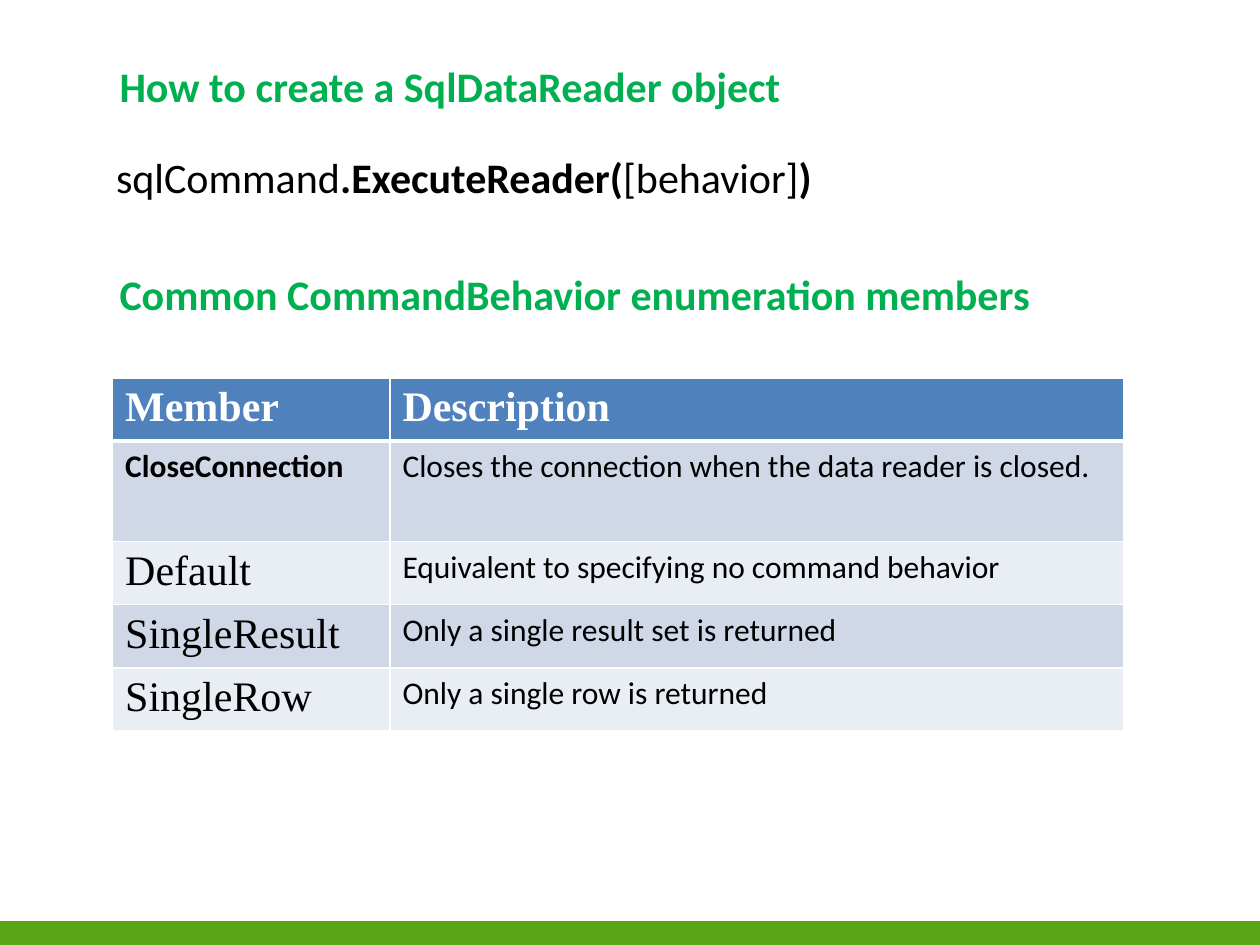
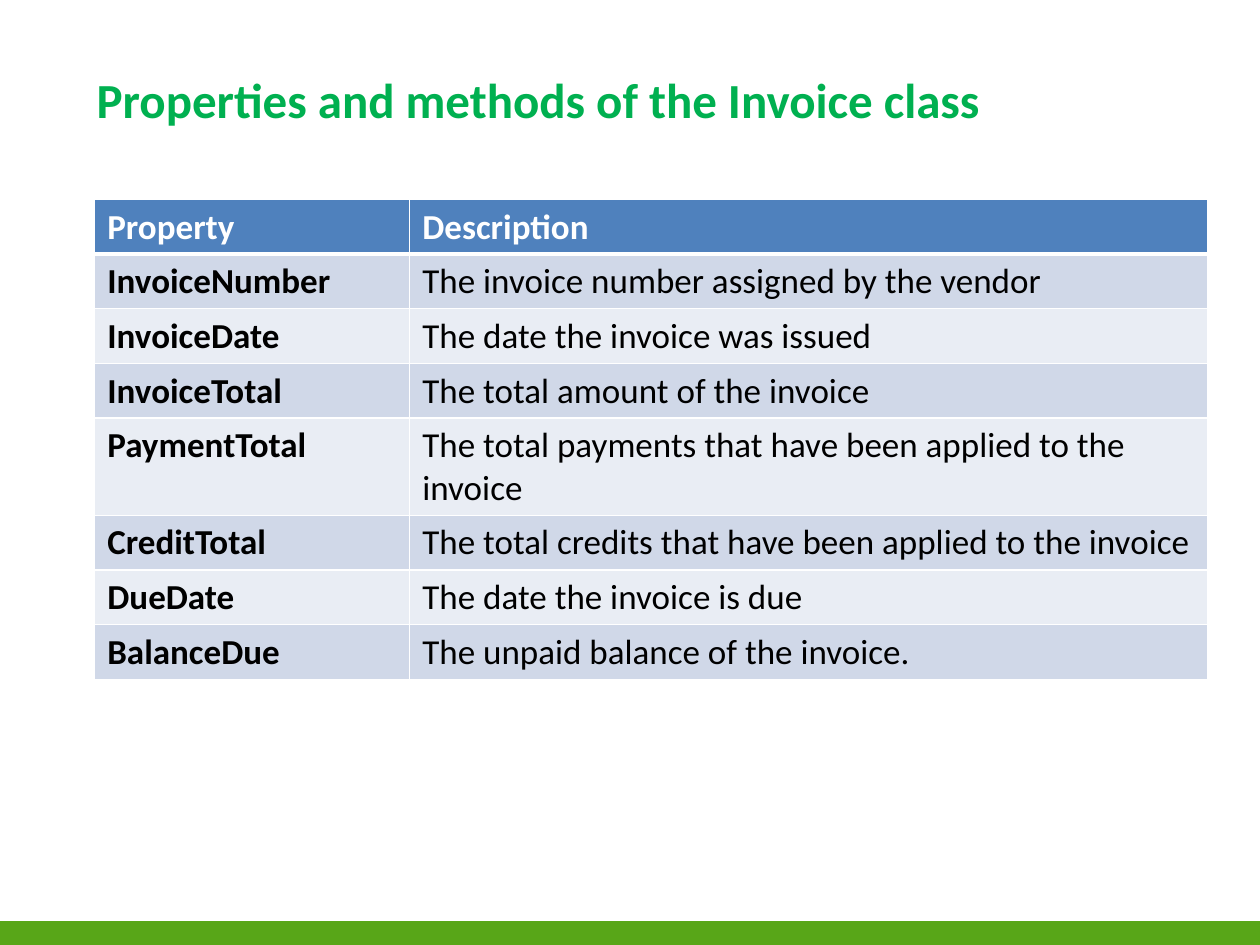
from dataclasses import dataclass

from lxml import etree
from pptx import Presentation
from pptx import util as u
from pptx.dml.color import RGBColor
from pptx.enum import shapes, text
from pptx.oxml import ns


@dataclass(frozen=True)
class Theme:
    """Colours, fonts and type sizes shared by the slides."""
    band: str = "58A618"
    heading: str = "00B050"
    ink: str = "000000"
    white: str = "FFFFFF"
    header_fill: str = "4F81BD"
    row_fills: tuple = ("D0D8E8", "E9EDF4")
    sans: str = "Calibri"
    serif: str = "Times New Roman"
    title: int = 28
    subtitle: int = 24
    body: int = 20
    small: int = 18
    thin: float = 1
    thick: float = 3


THEME = Theme()
MEMBERS = (
    ("Member", "Description"),
    ("CloseConnection", "Closes the connection when the data reader is closed."),
    ("Default", "Equivalent to specifying no command behavior"),
    ("SingleResult", "Only a single result set is returned"),
    ("SingleRow", "Only a single row is returned"),
)
PROPERTIES = (
    ("Property", "Description"),
    ("InvoiceNumber", "The invoice number assigned by the vendor"),
    ("InvoiceDate", "The date the invoice was issued"),
    ("InvoiceTotal", "The total amount of the invoice"),
    ("PaymentTotal", "The total payments that have been applied to the invoice"),
    ("CreditTotal", "The total credits that have been applied to the invoice"),
    ("DueDate", "The date the invoice is due"),
    ("BalanceDue", "The unpaid balance of the invoice."),
)


def add_text(paragraph, words, *, size=THEME.body, font=THEME.sans,
             color=THEME.ink, bold=False):
    """Append one formatted run to a paragraph."""
    run = paragraph.add_run()
    run.text = words
    run.font.size = u.Pt(size)
    run.font.name = font
    run.font.bold = bold
    run.font.color.rgb = RGBColor.from_string(color)


def add_text_box(slide, left, top, width, height, before=0, after=0, indent=0):
    """Add a text box that grows with its text and return its paragraph."""
    box = slide.shapes.add_textbox(u.Cm(left), u.Cm(top), u.Cm(width), u.Cm(height))
    frame = box.text_frame
    frame.word_wrap = True
    frame.auto_size = text.MSO_AUTO_SIZE.SHAPE_TO_FIT_TEXT
    paragraph = frame.paragraphs[0]
    paragraph.space_before = u.Pt(before)
    paragraph.space_after = u.Pt(after)
    if indent:
        paragraph._p.get_or_add_pPr().set("marL", str(u.Cm(indent)))
    return paragraph


def add_heading(slide, words, left, top, width, height=1.27,
                size=THEME.subtitle, **spacing):
    """Add a bold green heading."""
    paragraph = add_text_box(slide, left, top, width, height, **spacing)
    add_text(paragraph, words, size=size, color=THEME.heading, bold=True)


def add_banded_slide(presentation):
    """Add a blank slide with the green band along its foot."""
    slide = presentation.slides.add_slide(presentation.slide_layouts[6])
    top = u.Cm(18.57)
    band = slide.shapes.add_shape(
        shapes.MSO_SHAPE.RECTANGLE, 0, top,
        presentation.slide_width, presentation.slide_height - top)
    band.shadow.inherit = False
    band.fill.solid()
    band.fill.fore_color.rgb = RGBColor.from_string(THEME.band)
    band.line.fill.background()
    return slide


def style_cell(cell, fill, top, bottom):
    """Give a cell white borders and a solid fill."""
    properties = cell._tc.get_or_add_tcPr()
    widths = {"L": THEME.thin, "R": THEME.thin, "T": top, "B": bottom}
    for side, width in widths.items():
        line = etree.SubElement(properties, ns.qn(f"a:ln{side}"), w=str(u.Pt(width)))
        solid = etree.SubElement(line, ns.qn("a:solidFill"))
        etree.SubElement(solid, ns.qn("a:srgbClr"), val=THEME.white)
    cell.fill.solid()
    cell.fill.fore_color.rgb = RGBColor.from_string(fill)


def add_table(slide, rows, left, top, widths, heights, text_format):
    """Add a banded table; text_format gives the format of a row and column."""
    frame = slide.shapes.add_table(
        len(rows), len(widths), u.Cm(left), u.Cm(top),
        u.Cm(sum(widths)), u.Cm(sum(heights)))
    table = frame.table
    for column, width in zip(table.columns, widths):
        column.width = u.Cm(width)
    for index, (row, height) in enumerate(zip(rows, heights)):
        table.rows[index].height = u.Cm(height)
        fill = THEME.row_fills[(index - 1) % 2] if index else THEME.header_fill
        above = THEME.thick if index == 1 else THEME.thin
        below = THEME.thick if index == 0 else THEME.thin
        for column, words in enumerate(row):
            cell = table.cell(index, column)
            style_cell(cell, fill, above, below)
            add_text(cell.text_frame.paragraphs[0], words,
                     color=THEME.ink if index else THEME.white,
                     **text_format(index, column))


def member_format(row, column):
    """Return the text format of a cell in the member table."""
    if row == 0 or (column == 0 and row > 1):
        return dict(size=THEME.subtitle, font=THEME.serif, bold=row == 0)
    return dict(size=THEME.small, bold=column == 0)


def property_format(row, column):
    """Return the text format of a cell in the property table."""
    return dict(size=THEME.body, bold=row == 0 or column == 0)


def build_reader_slide(presentation):
    """Show the reader syntax and the behavior members."""
    slide = add_banded_slide(presentation)
    add_heading(slide, "How to create a SqlDataReader object",
                2.16, 1.09, 20.14, after=6)
    syntax = add_text_box(slide, 1.12, 2.92, 21.39, 1.27, after=6, indent=0.97)
    parts = ("sqlCommand", ".ExecuteReader(", "[behavior]", ")")
    for index, part in enumerate(parts):
        add_text(syntax, part, size=THEME.subtitle, bold=index % 2 == 1)
    add_heading(slide, "Common CommandBehavior enumeration members",
                2.16, 5.28, 20.35, before=12)
    heights = [2.03 if row == 1 else 1.27 for row in range(len(MEMBERS))]
    add_table(slide, MEMBERS, 2.27, 7.62, (5.59, 14.8), heights, member_format)


def build_invoice_slide(presentation):
    """Show the properties of the Invoice class."""
    slide = add_banded_slide(presentation)
    add_heading(slide, "Properties and methods of the Invoice class",
                1.7, 1.27, 22.66, 1.45, size=THEME.title, after=6)
    heights = [1.96 if name == "PaymentTotal" else 1.1 for name, _ in PROPERTIES]
    add_table(slide, PROPERTIES, 1.91, 4.02, (6.35, 16.08), heights, property_format)


def main():
    """Build and save the presentation."""
    presentation = Presentation()
    presentation.slide_width = u.Cm(25.4)
    presentation.slide_height = u.Cm(19.05)
    build_reader_slide(presentation)
    build_invoice_slide(presentation)
    presentation.save("out.pptx")


if __name__ == "__main__":
    main()
